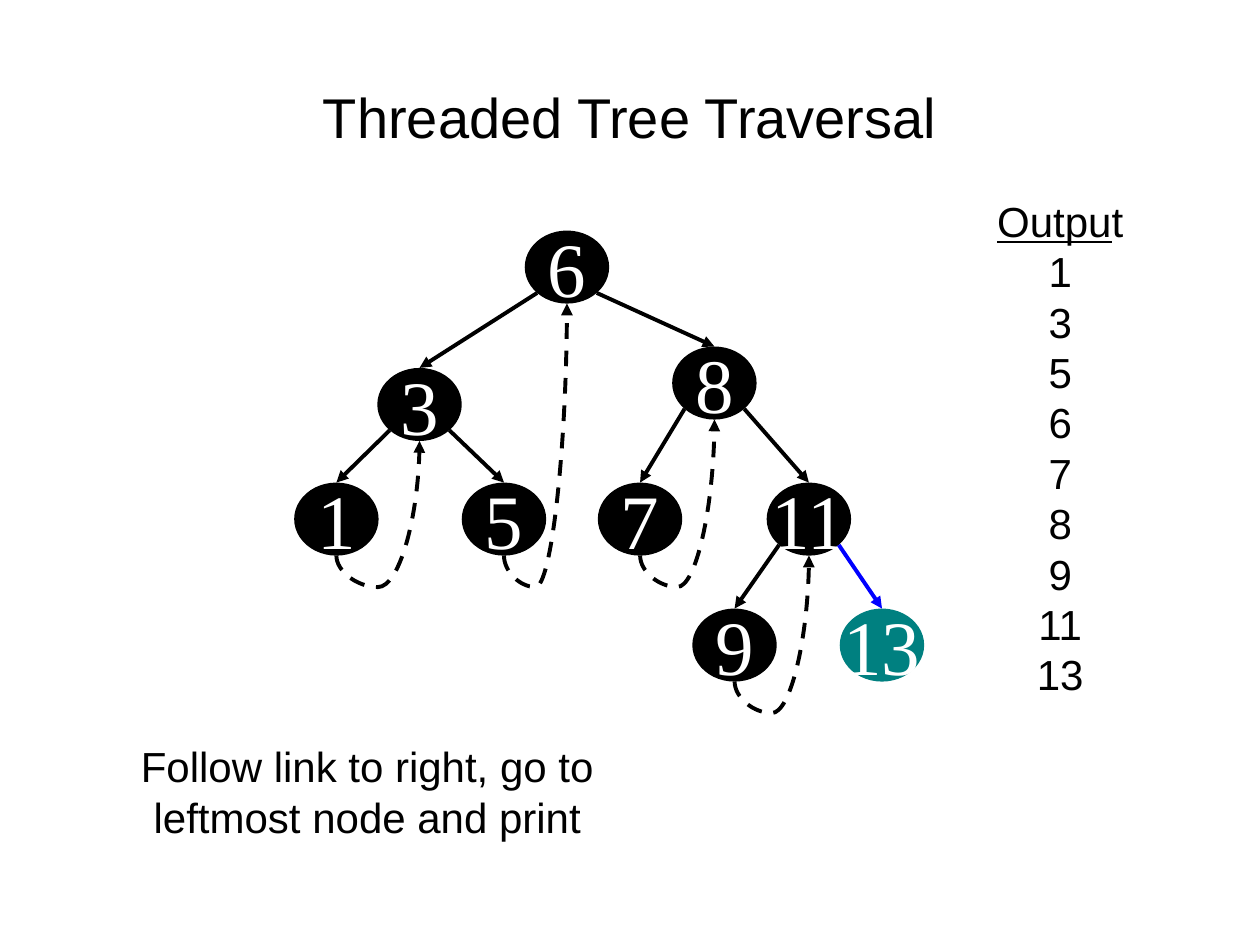
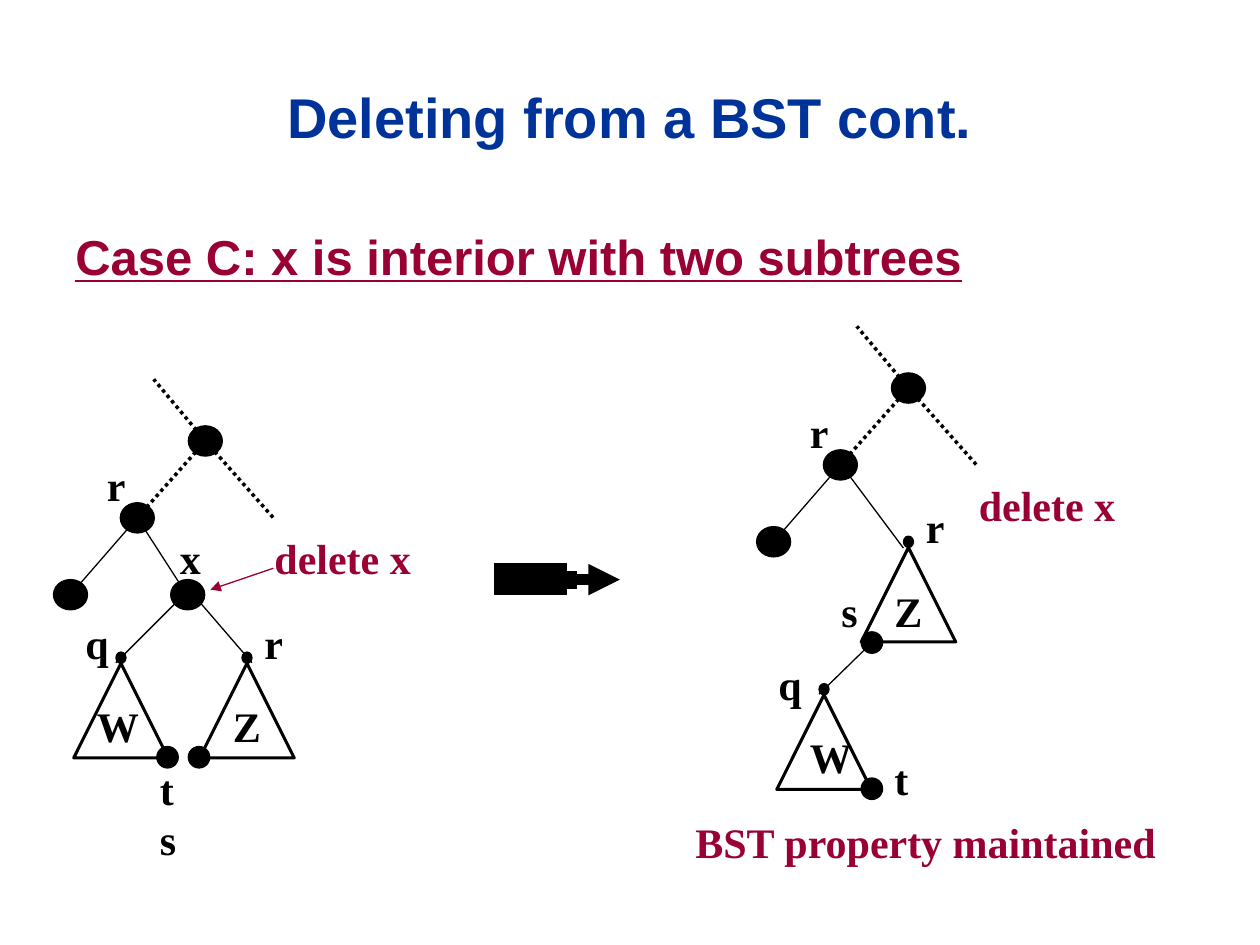
import pptx
import pptx.util
import pptx.dml.color
import pptx.enum.dml
import pptx.enum.shapes
import pptx.enum.text
import pptx.oxml.ns
import lxml.etree

Inches, Pt = pptx.util.Inches, pptx.util.Pt
SHAPE = pptx.enum.shapes.MSO_SHAPE
CONNECTOR = pptx.enum.shapes.MSO_CONNECTOR
DASH = pptx.enum.dml.MSO_LINE
CENTER = pptx.enum.text.PP_ALIGN.CENTER
MIDDLE = pptx.enum.text.MSO_ANCHOR.MIDDLE
qn = pptx.oxml.ns.qn

COLORS = {"black": "000000", "white": "FFFFFF", "current": "008080",
          "followed": "0000FF", "title": "003399", "accent": "990033"}
SANS, SERIF = "Arial", "Times New Roman"

# Threaded tree: key -> centre of the node
NODE_SIZE = (0.67, 0.58)
KEYS = {6: (4.5, 2.12), 3: (3.33, 3.21), 8: (5.67, 3.04), 1: (2.67, 4.12), 5: (4, 4.12),
        7: (5.08, 4.12), 11: (6.42, 4.12), 9: (5.83, 5.12), 13: (7, 5.12)}
CHILDREN = {6: (3, 8), 3: (1, 5), 8: (7, 11), 11: (9, 13)}
THREADS = [(1, 3), (5, 6), (7, 8), (9, 11)]
THREAD_DROP = 0.25
CURRENT = 13
STEP = "Follow link to right, go to leftmost node and print"

# Deletion: the same tree top and subtrees, before and after
TREE_TOPS = [(1.63, 3.5), (7.21, 3.08)]
X_NODE = (1.49, 4.72)
SUBTREE_TIPS = [(0.96, 5.22), (1.96, 5.22), (6.54, 5.47), (7.21, 4.3)]
END_NODES = [(1.58, 6.01), (1.33, 6.01), (6.92, 5.1), (6.92, 6.26)]
LINKS = [((1.49, 4.73), (1.09, 4.11)), ((2, 5.26), (1.5, 4.68)), ((0.92, 5.26), (1.42, 4.76)),
         ((7.17, 4.35), (6.67, 3.68)), ((6.5, 5.51), (6.92, 5.1))]
BLOCK_ARROW = [(4.6, 4.92, 6, True), (4.68, 4.5, 6, False),
               (4.51, 4.5, 6, False), (4.6, 4.58, 10.25, False)]
LABELS = [("W", 0.67, 5.51), ("x", 1.33, 4.18), ("q", 0.58, 4.85), ("r", 0.75, 3.6),
          ("Z", 1.75, 5.51), ("t s", 1.17, 6.01), ("r", 2, 4.85),
          ("W", 6.33, 5.76), ("q", 6.08, 5.18), ("r", 6.33, 3.18), ("s", 6.58, 4.6),
          ("Z", 7, 4.6), ("r", 7.25, 3.93), ("t", 7, 5.93)]
REMARKS = [("delete x", 2.08, 4.18, 1.28), ("delete x", 7.67, 3.76, 1.28),
           ("BST property maintained", 5.42, 6.43, 3.87)]


def rgb(color):
    return pptx.dml.color.RGBColor.from_string(COLORS[color])


def write(paragraph, words, color="black", **formats):
    run = paragraph.add_run()
    run.text = words
    for name, value in formats.items():
        setattr(run.font, name, value)
    run.font.color.rgb = rgb(color)


def text_box(slide, box, paragraphs, align=None, anchor=None, wrap=True, color="black", **formats):
    """Each paragraph is a list of (words, own formats)."""
    frame = slide.shapes.add_textbox(*map(Inches, box)).text_frame
    frame.word_wrap = wrap
    if anchor is not None:
        frame.vertical_anchor = anchor
    for i, runs in enumerate(paragraphs):
        paragraph = frame.add_paragraph() if i else frame.paragraphs[0]
        paragraph.alignment = align
        for words, own in runs:
            write(paragraph, words, color, **{**formats, **own})


def add_title(slide, words, color="black", **formats):
    text_box(slide, (0.5, 0.3, 9, 1.25), [[(words, {})]], CENTER, MIDDLE, color=color,
             size=Pt(32), name=SANS, **formats)


def centred_shape(slide, kind, center, size, fill="black", outline=None):
    (x, y), (w, h) = center, size
    shape = slide.shapes.add_shape(kind, *map(Inches, (x - w / 2, y - h / 2, w, h)))
    shape.shadow.inherit = False
    if fill:
        shape.fill.solid()
        shape.fill.fore_color.rgb = rgb(fill)
    else:
        shape.fill.background()
    if outline:
        shape.line.color.rgb = rgb("black")
        shape.line.width = Pt(outline)
    else:
        shape.line.fill.background()
    return shape


def connect(slide, start, end, width=0.75, color="black", dash=None, arrow=False,
            kind=CONNECTOR.STRAIGHT):
    link = slide.shapes.add_connector(kind, *map(Inches, (*start, *end)))
    link.line.color.rgb = rgb(color)
    link.line.width = Pt(width)
    if dash:
        link.line.dash_style = dash
    if arrow:
        lxml.etree.SubElement(link.line._get_or_add_ln(), qn("a:tailEnd"), type="triangle")
    lxml.etree.SubElement(link._element.spPr, qn("a:effectLst"))
    return link


def glue(link, start, start_site, end, end_site):
    """Join a connector to ellipse sites (0 top, 3 lower left, 4 bottom, 5 lower right)."""
    joints = link._element.nvCxnSpPr.cNvCxnSpPr
    for tag, node, site in (("a:stCxn", start, start_site), ("a:endCxn", end, end_site)):
        lxml.etree.SubElement(joints, qn(tag), id=str(node.shape_id), idx=str(site))


def add_thread(slide, nodes, start, end):
    """Curve from the bottom of one node, down and up to the bottom of another."""
    (x1, y1), (x2, y2) = KEYS[start], KEYS[end]
    rise, run = y1 - y2, x2 - x1
    mid_x, mid_y = (x1 + x2) / 2, (y1 + y2 + NODE_SIZE[1]) / 2
    curve = connect(slide, (mid_x - rise / 2, mid_y - run / 2), (mid_x + rise / 2, mid_y + run / 2),
                    2.25, dash=DASH.DASH, arrow=True, kind=CONNECTOR.CURVE)
    for name, value in {"rot": "5400000", "flipH": "1", "flipV": "1"}.items():
        curve._element.spPr.xfrm.set(name, value)
    guides = curve._element.spPr.find(qn("a:prstGeom")).get_or_add_avLst()
    lxml.etree.SubElement(guides, qn("a:gd"), name="adj1",
                          fmla=f"val {round(-THREAD_DROP / rise * 100000)}")
    glue(curve, nodes[start], 4, nodes[end], 4)


def traversal_slide(slide):
    add_title(slide, "Threaded Tree Traversal")
    nodes = {}
    for key, center in KEYS.items():
        fill = "current" if key == CURRENT else "black"
        nodes[key] = centred_shape(slide, SHAPE.OVAL, center, NODE_SIZE, fill)
        frame = nodes[key].text_frame
        frame.word_wrap = False
        frame.vertical_anchor = MIDDLE
        frame.paragraphs[0].alignment = CENTER
        write(frame.paragraphs[0], str(key), "white", size=Pt(44), name=SERIF)
    diagonal = 0.5 ** 0.5 / 2
    for parent, children in CHILDREN.items():
        x, y = KEYS[parent]
        for child, side, site in zip(children, (-1, 1), (3, 5)):
            child_x, child_y = KEYS[child]
            link = connect(slide,
                           (x + side * diagonal * NODE_SIZE[0], y + diagonal * NODE_SIZE[1]),
                           (child_x, child_y - NODE_SIZE[1] / 2), 2.25,
                           "followed" if child == CURRENT else "black", arrow=True)
            glue(link, nodes[parent], site, nodes[child], 0)
    for start, end in THREADS:
        add_thread(slide, nodes, start, end)
    text_box(slide, (0.58, 5.83, 4.67, 0.9), [[(STEP, {})]], CENTER, size=Pt(24), name=SANS)
    heading = [("Outpu", {"underline": True}), ("t", {})]
    text_box(slide, (7.75, 1.5, 1.33, 4.09), [heading] + [[(str(key), {})] for key in sorted(KEYS)],
             CENTER, size=Pt(24), name=SANS)


def tree_top(slide, x, y):
    r, leaf = (x - 0.54, y + 0.61), (x - 1.07, y + 1.22)
    for center in ((x, y), r, leaf):
        tree_node(slide, center)
    connect(slide, leaf, r)
    for start, end in ((r, (x, y)), ((x, y), (x + 0.54, y + 0.61)), ((x, y), (x - 0.41, y - 0.49))):
        connect(slide, start, end, 2, dash=DASH.ROUND_DOT)


def tree_node(slide, center, size=(0.27, 0.24)):
    centred_shape(slide, SHAPE.OVAL, center, size, outline=0.75)


def deletion_slide(slide):
    add_title(slide, "Deleting from a BST cont.", "title", bold=True)
    text_box(slide, (0.5, 1.75, 9, 4.95), [[("Case C: x is interior with two subtrees", {})]],
             color="accent", size=Pt(28), name=SANS, bold=True, underline=True)
    for x, y in TREE_TOPS:
        tree_top(slide, x, y)
    tree_node(slide, X_NODE)
    for x, y in SUBTREE_TIPS:
        tree_node(slide, (x, y), (0.08, 0.09))
        centred_shape(slide, SHAPE.ISOSCELES_TRIANGLE, (x, y + 0.42), (0.75, 0.75), None, 1.75)
    for center in END_NODES:
        tree_node(slide, center, (0.17, 0.17))
    for start, end in LINKS:
        connect(slide, start, end)
    connect(slide, (2.17, 4.51), (1.67, 4.68), color="accent", arrow=True)
    for y, right, width, arrow in BLOCK_ARROW:
        connect(slide, (3.92, y), (right, y), width, arrow=arrow)
    label_format = {"wrap": False, "size": Pt(24), "name": SERIF, "bold": True}
    for words, x, y in LABELS:
        text_box(slide, (x, y, 0.4, 0.5), [[(words, {})]], **label_format)
    for words, x, y, width in REMARKS:
        text_box(slide, (x, y, width, 0.5), [[(words, {})]], color="accent", **label_format)


def main():
    deck = pptx.Presentation()
    deck.slide_width, deck.slide_height = Inches(10), Inches(7.5)
    for build in (traversal_slide, deletion_slide):
        build(deck.slides.add_slide(deck.slide_layouts[6]))
    deck.save("out.pptx")


if __name__ == "__main__":
    main()
